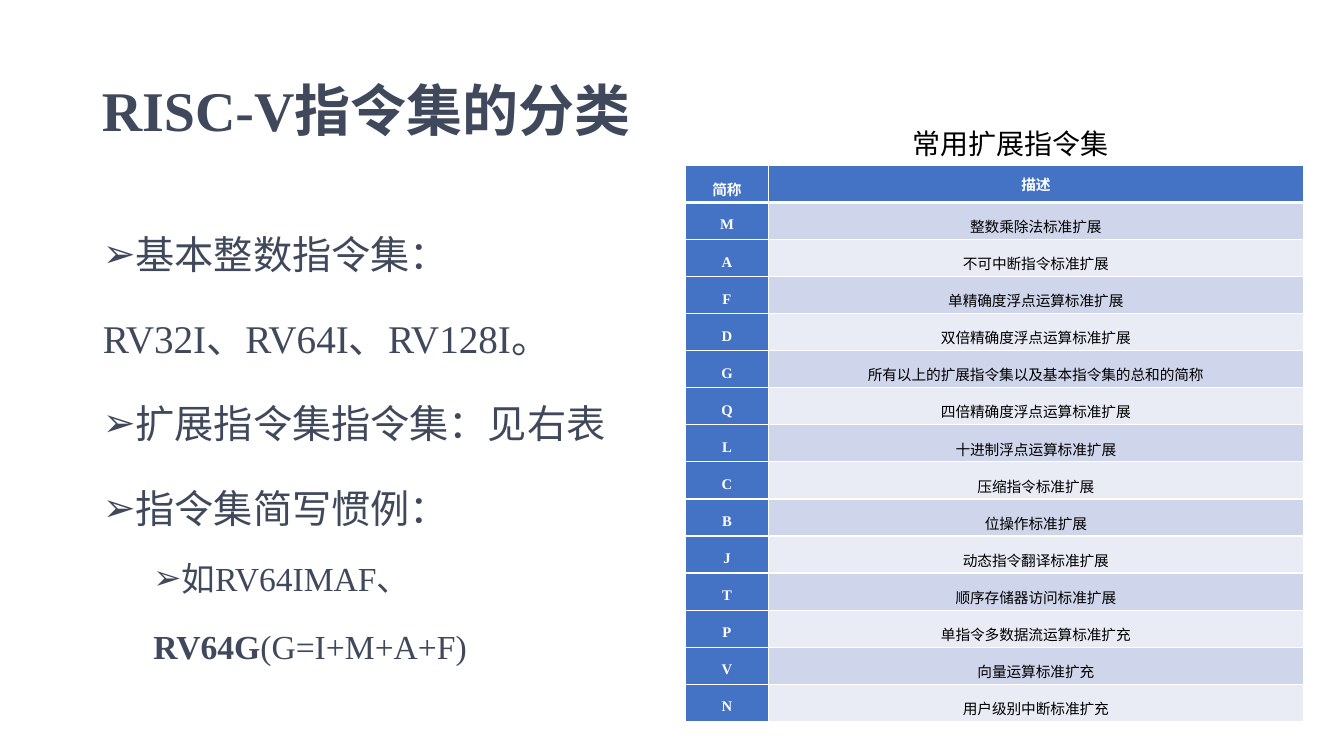
from lxml import etree
from pptx import Presentation
from pptx.dml.color import RGBColor
from pptx.enum.text import MSO_ANCHOR, MSO_AUTO_SIZE, PP_ALIGN
from pptx.oxml.ns import qn
from pptx.util import Emu, Pt

SCALE = 9144  # EMU per px, 100 px to the inch
LEFT, CENTER = PP_ALIGN.LEFT, PP_ALIGN.CENTER
TOP, MIDDLE = MSO_ANCHOR.TOP, MSO_ANCHOR.MIDDLE
FIXED, GROW = MSO_AUTO_SIZE.NONE, MSO_AUTO_SIZE.SHAPE_TO_FIT_TEXT
FONT = "Times New Roman"
COLORS = {"ink": "40485B", "black": "000000", "white": "FFFFFF",
          "blue": "4472C4", "odd": "CFD5EA", "even": "E9EBF5"}

# level, bullet, left margin, hanging indent, runs as (text, bold)
POINTS = [
    (0, "➢", 25, -25, [("基本整数指令集：", False)]),
    (0, None, 0, 0, [("RV32I、RV64I、RV128I。", False)]),
    (0, "➢", 25, -25, [("扩展指令集指令集：见右表", False)]),
    (0, "➢", 25, -25, [("指令集简写惯例：", False)]),
    (1, "➢", 75, -25, [("如RV64IMAF、", False)]),
    (1, None, 50, 0, [("RV64G", True), ("(G=I+M+A+F)", False)]),
]
ROWS = [
    ("简称", "描述"),
    ("M", "整数乘除法标准扩展"),
    ("A", "不可中断指令标准扩展"),
    ("F", "单精确度浮点运算标准扩展"),
    ("D", "双倍精确度浮点运算标准扩展"),
    ("G", "所有以上的扩展指令集以及基本指令集的总和的简称"),
    ("Q", "四倍精确度浮点运算标准扩展"),
    ("L", "十进制浮点运算标准扩展"),
    ("C", "压缩指令标准扩展"),
    ("B", "位操作标准扩展"),
    ("J", "动态指令翻译标准扩展"),
    ("T", "顺序存储器访问标准扩展"),
    ("P", "单指令多数据流运算标准扩充"),
    ("V", "向量运算标准扩充"),
    ("N", "用户级别中断标准扩充"),
]


def px(n):
    return Emu(n * SCALE)


def apply(item, **values):
    for name, value in values.items():
        setattr(item, name, value)


class Deck:
    def __init__(self, width, height):
        self.prs = Presentation()
        apply(self.prs, slide_width=px(width), slide_height=px(height))
        self.slide = self.prs.slides.add_slide(self.prs.slide_layouts[1])

    def place(self, shape, left, top, width, height):
        apply(shape, left=px(left), top=px(top), width=px(width), height=px(height))

    def run(self, para, text, size, color, bold=False):
        run = para.add_run()
        run.text = text
        apply(run.font, name=FONT, size=Pt(size), bold=bold)
        run.font.color.rgb = RGBColor.from_string(COLORS[color])

    def title(self, text, *box):
        shape = self.slide.shapes.title
        self.place(shape, *box)
        frame = shape.text_frame
        apply(frame, word_wrap=True, auto_size=FIXED, vertical_anchor=MIDDLE)
        para = frame.paragraphs[0]
        apply(para, alignment=LEFT, line_spacing=0.9)
        self.run(para, text, 40, "ink", True)

    def bullet(self, para, mark, margin, indent):
        props = para._p.get_or_add_pPr()
        props.set("marL", str(px(margin)))
        props.set("indent", str(px(indent)))
        if mark:
            etree.SubElement(props, qn("a:buChar"), char=mark)
        else:
            etree.SubElement(props, qn("a:buNone"))

    def list(self, points, *box):
        shape = self.slide.placeholders[1]
        self.place(shape, *box)
        frame = shape.text_frame
        apply(frame, word_wrap=True, auto_size=FIXED, vertical_anchor=TOP)
        for i, (level, mark, margin, indent, runs) in enumerate(points):
            para = frame.add_paragraph() if i else frame.paragraphs[0]
            apply(para, level=level, alignment=LEFT, line_spacing=1.5,
                  space_before=Pt(5 if level else 10), space_after=Pt(0))
            self.bullet(para, mark, margin, indent)
            for text, bold in runs:
                self.run(para, text, 24 if level else 28, "ink", bold)

    def label(self, text, *box):
        shape = self.slide.shapes.add_textbox(*map(px, box))
        frame = shape.text_frame
        apply(frame, word_wrap=True, auto_size=GROW)
        para = frame.paragraphs[0]
        para.alignment = CENTER
        self.run(para, text, 20, "black")

    def border(self, cell, row):
        """Draw white cell edges, thick between the header and the first row."""
        props = cell._tc.get_or_add_tcPr()
        thick = {(0, "B"), (1, "T")}
        for i, side in enumerate("LRTB"):
            width = Pt(3 if (row, side) in thick else 1)
            line = etree.Element(qn("a:ln" + side), w=str(width))
            fill = etree.SubElement(line, qn("a:solidFill"))
            etree.SubElement(fill, qn("a:srgbClr"), val=COLORS["white"])
            props.insert(i, line)

    def cell(self, cell, text, row, col):
        head = row == 0 or col == 0
        fill = "blue" if head else "odd" if row % 2 else "even"
        cell.fill.solid()
        cell.fill.fore_color.rgb = RGBColor.from_string(COLORS[fill])
        apply(cell, vertical_anchor=MIDDLE, margin_left=px(7), margin_right=px(7),
              margin_top=0, margin_bottom=0)
        para = cell.text_frame.paragraphs[0]
        apply(para, alignment=CENTER, line_spacing=1.0 if (row, col) == (0, 1) else 1.5)
        self.run(para, text, 10.5, "white" if head else "black", head)
        self.border(cell, row)

    def table(self, rows, widths, left, top, height):
        frame = self.slide.shapes.add_table(
            len(rows), len(widths), *map(px, (left, top, sum(widths), height)))
        for column, width in zip(frame.table.columns, widths):
            column.width = px(width)
        for r, row in enumerate(rows):
            for c, text in enumerate(row):
                self.cell(frame.table.cell(r, c), text, r, c)


def main():
    deck = Deck(1333, 750)
    deck.title("RISC-V指令集的分类", 91, 40, 1151, 145)
    deck.list(POINTS, 92, 200, 539, 476)
    deck.table(ROWS, (82, 531), 680, 164, 552)
    deck.label("常用扩展指令集", 861, 121, 283, 44)
    deck.prs.save("out.pptx")


if __name__ == "__main__":
    main()
